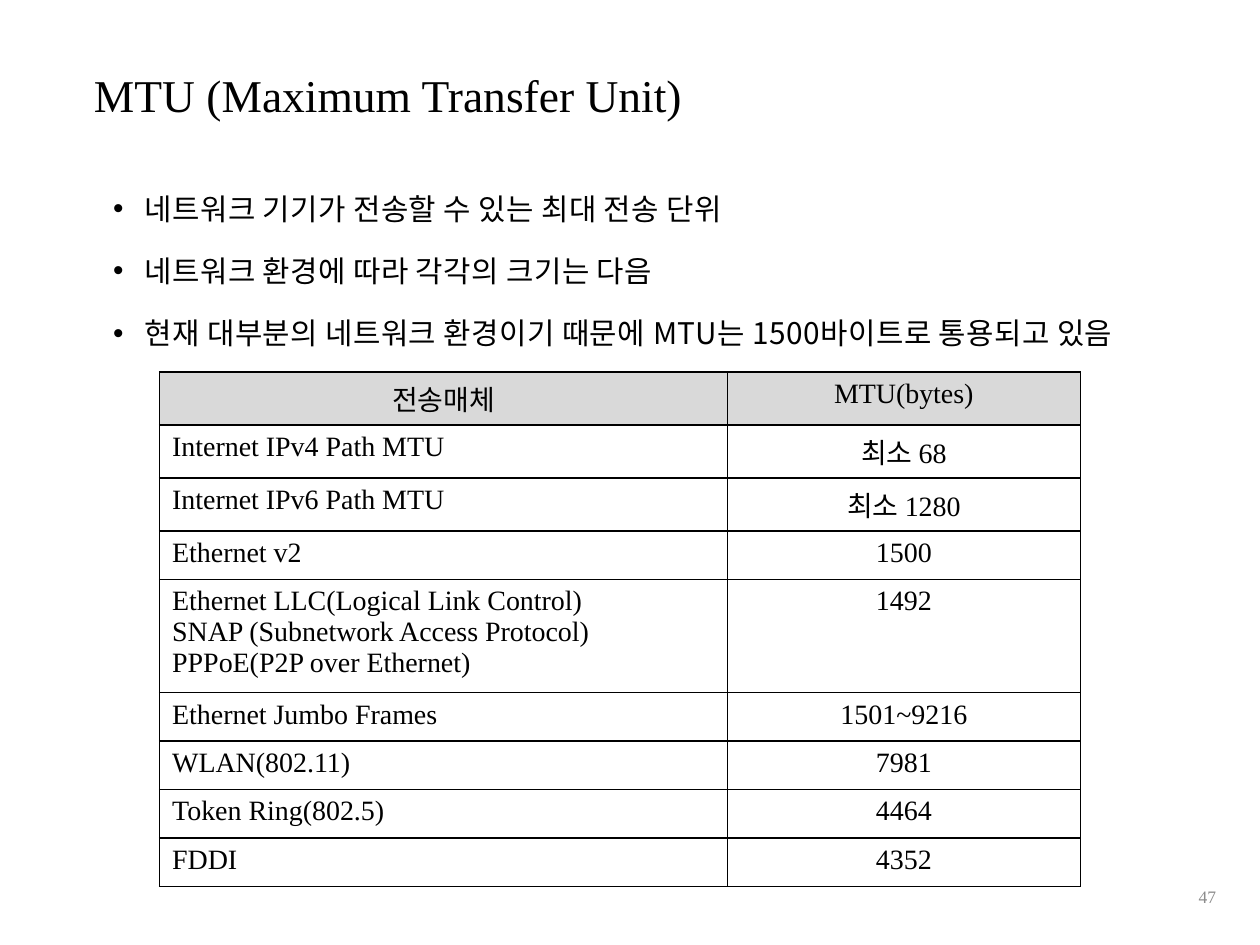
import pptx
import pptx.util
import pptx.dml.color
import pptx.enum.text
import pptx.oxml
import pptx.oxml.ns
from lxml import etree

Pt = pptx.util.Pt
ALIGN = pptx.enum.text.PP_ALIGN
ANCHOR = pptx.enum.text.MSO_ANCHOR
COLORS = {"text": "000000", "number": "8C8C8C", "header": "D9D9D9", "border": "000000"}
SERIF = "Times New Roman"
KOREAN = "Noto Sans CJK KR"

BULLETS = [
    "네트워크 기기가 전송할 수 있는 최대 전송 단위",
    "네트워크 환경에 따라 각각의 크기는 다음",
    "현재 대부분의 네트워크 환경이기 때문에 MTU는 1500바이트로 통용되고 있음",
]
HEADER = ("전송매체", ["MTU(bytes)"])
MEDIA = [
    ("Internet IPv4 Path MTU", ["최소 ", "68"]),
    ("Internet IPv6 Path MTU", ["최소 ", "1280"]),
    ("Ethernet v2", ["1500"]),
    ("Ethernet LLC(Logical Link Control)\nSNAP (Subnetwork Access Protocol)\n"
     "PPPoE(P2P over Ethernet)", ["1492"]),
    ("Ethernet Jumbo Frames", ["1501~9216"]),
    ("WLAN(802.11)", ["7981"]),
    ("Token Ring(802.5)", ["4464"]),
    ("FDDI", ["4352"]),
]


def apply(target, values):
    for name, value in values.items():
        setattr(target, name, value)


def rgb(name):
    return pptx.dml.color.RGBColor.from_string(COLORS[name])


def has_korean(text):
    return any("가" <= letter <= "힣" for letter in text)


def write_line(para, texts, size, color="text", tracking=0, **values):
    apply(para, values)
    for text in texts:
        span = para.add_run()
        span.text = text
        face = KOREAN if has_korean(text) else SERIF
        apply(span.font, {"size": Pt(size), "name": face})
        span.font.color.rgb = rgb(color)
        east = etree.SubElement(span.font._element, pptx.oxml.ns.qn("a:ea"))
        east.set("typeface", face)
        if tracking:
            span.font._element.set("spc", str(tracking))


def add_frame(page, box, **values):
    frame = page.shapes.add_textbox(*map(Pt, box)).text_frame
    apply(frame, {"word_wrap": True, **values})
    return frame


def add_title(page, box):
    frame = add_frame(page, box, word_wrap=False)
    write_line(frame.paragraphs[0], ["MTU (Maximum Transfer Unit)"], 26)


def add_bullets(page, box):
    frame = add_frame(page, box)
    for index, text in enumerate(BULLETS):
        para = frame.add_paragraph() if index else frame.paragraphs[0]
        properties = para._p.get_or_add_pPr()
        properties.set("marL", str(Pt(54)))
        properties.set("indent", str(-Pt(18)))
        font = etree.SubElement(properties, pptx.oxml.ns.qn("a:buFont"))
        font.set("typeface", "Arial")
        mark = etree.SubElement(properties, pptx.oxml.ns.qn("a:buChar"))
        mark.set("char", "•")
        write_line(para, [text], 17, tracking=22, line_spacing=1.5,
                   space_before=Pt(5 if index else 0))


def add_borders(cell):
    properties = cell._tc.get_or_add_tcPr()
    for side in ("lnL", "lnR", "lnT", "lnB"):
        properties.append(pptx.oxml.parse_xml(
            f'<a:{side} {pptx.oxml.ns.nsdecls("a")} w="{Pt(1)}"><a:solidFill>'
            f'<a:srgbClr val="{COLORS["border"]}"/></a:solidFill></a:{side}>'))


def fill_cell(cell, lines, align, is_header):
    add_borders(cell)
    if is_header:
        cell.fill.solid()
        cell.fill.fore_color.rgb = rgb("header")
    else:
        cell.fill.background()
    frame = cell.text_frame
    for index, texts in enumerate(lines):
        para = frame.add_paragraph() if index else frame.paragraphs[0]
        write_line(para, texts, 16, alignment=align)


def row_height(medium, size):
    if "\n" in medium:
        return 63.2
    return 30.3 if has_korean(medium + "".join(size)) else 27.7


def add_media_table(page, left, top, widths):
    rows = [HEADER] + MEDIA
    heights = [row_height(*row) for row in rows]
    box = (left, top, sum(widths), sum(heights))
    table = page.shapes.add_table(len(rows), len(widths), *map(Pt, box)).table
    apply(table, {"first_row": False, "horz_banding": False})
    for column, width in zip(table.columns, widths):
        column.width = Pt(width)
    for index, (medium, size) in enumerate(rows):
        table.rows[index].height = Pt(heights[index])
        lines = [[line] for line in medium.split("\n")]
        is_header = index == 0
        align = ALIGN.CENTER if is_header else ALIGN.LEFT
        fill_cell(table.cell(index, 0), lines, align, is_header)
        fill_cell(table.cell(index, 1), [size], ALIGN.CENTER, is_header)


def add_page_number(page, box):
    frame = add_frame(page, box, vertical_anchor=ANCHOR.MIDDLE)
    write_line(frame.paragraphs[0], ["47"], 10, "number", alignment=ALIGN.RIGHT)


def main():
    deck = pptx.Presentation()
    apply(deck, {"slide_width": Pt(720), "slide_height": Pt(540)})
    page = deck.slides.add_slide(deck.slide_layouts[6])
    add_page_number(page, (540, 497.8, 162, 28.8))
    add_title(page, (46.6, 34.6, 354, 38.9))
    add_bullets(page, (21.6, 95, 698.4, 182))
    add_media_table(page, 91.2, 212.5, (324.4, 201.8))
    deck.save("out.pptx")


if __name__ == "__main__":
    main()
